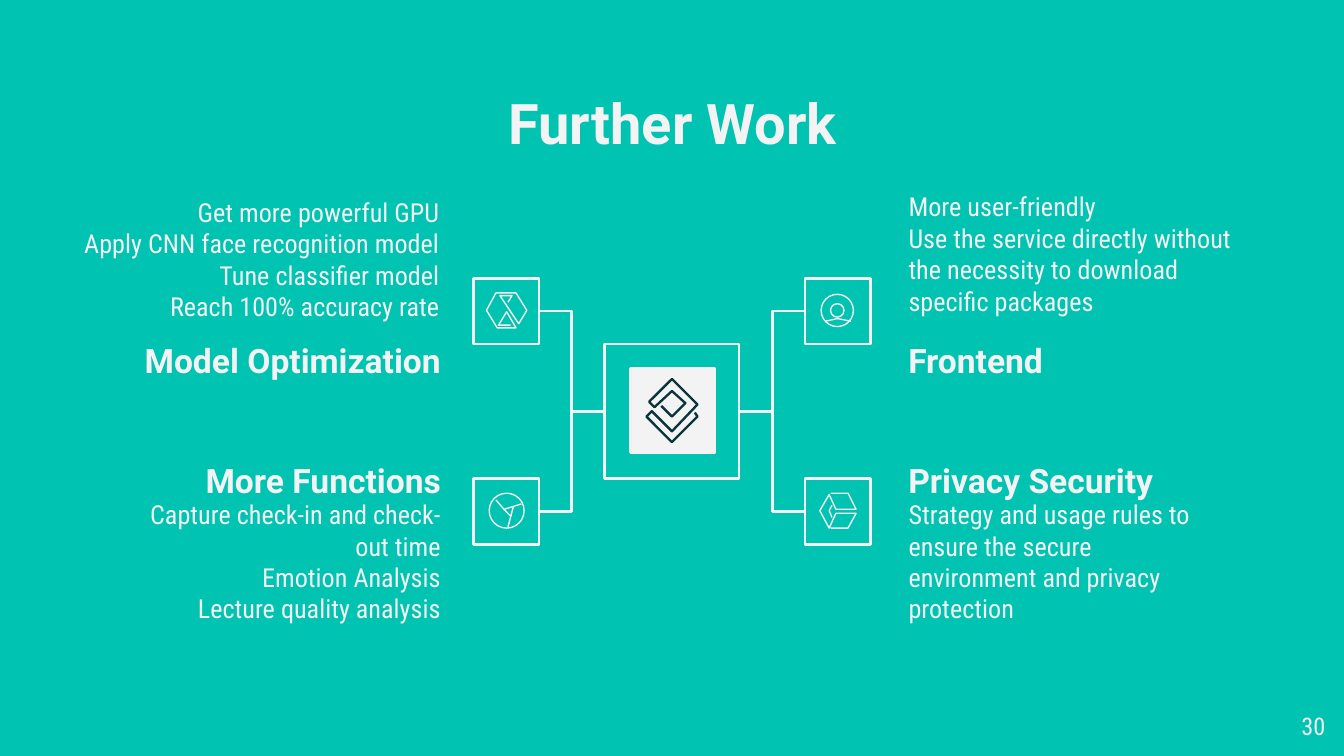
from pptx import Presentation
from pptx.dml.color import RGBColor
from pptx.enum.shapes import MSO_CONNECTOR, MSO_SHAPE
from pptx.enum.text import MSO_ANCHOR, MSO_AUTO_SIZE, PP_ALIGN
from pptx.oxml.ns import qn
from pptx.util import Inches, Pt
from lxml import etree

COLORS = {"back": "00C3B1", "light": "F3F3F3", "dark": "0C343D"}
HEAD, BODY = "Roboto", "Roboto Condensed"
LEFT, RIGHT, MID = PP_ALIGN.LEFT, PP_ALIGN.RIGHT, PP_ALIGN.CENTER


def write(box, at, lines, font, size, align, bold=False, anchor=MSO_ANCHOR.TOP):
    """Place a text shape and fill it, one paragraph per line."""
    box.left, box.top, box.width, box.height = [Inches(v) for v in at]
    frame = box.text_frame
    frame.word_wrap = True
    frame.auto_size = MSO_AUTO_SIZE.NONE
    frame.vertical_anchor = anchor
    frame.margin_left = frame.margin_right = Inches(0.1)
    frame.margin_top = frame.margin_bottom = Inches(0.1)
    for i, line in enumerate(lines):
        para = frame.paragraphs[0] if i == 0 else frame.add_paragraph()
        props = para._p.get_or_add_pPr()
        props.set("marL", "0")
        props.set("indent", "0")
        etree.SubElement(props, qn("a:buNone"))
        para.alignment = align
        para.space_before = Pt(0)
        run = para.add_run()
        run.text = line
        run.font.name = font
        run.font.size = Pt(size)
        run.font.bold = bold
        run.font.color.rgb = RGBColor.from_string(COLORS["light"])


def style(shape, width, color="light", fill=None):
    """Give a shape its outline and an optional fill."""
    shape.shadow.inherit = False
    shape.line.color.rgb = RGBColor.from_string(COLORS[color])
    shape.line.width = Pt(width)
    if fill:
        shape.fill.solid()
        shape.fill.fore_color.rgb = RGBColor.from_string(COLORS[fill])
    else:
        shape.fill.background()


# Slide in 16:9 and background
deck = Presentation()
deck.slide_width = Inches(10)
deck.slide_height = Inches(10) * 9 // 16
slide = deck.slides.add_slide(deck.slide_layouts[4])
slide.background.fill.solid()
slide.background.fill.fore_color.rgb = RGBColor.from_string(COLORS["back"])
shapes = slide.shapes

# Title
write(shapes.title, (0.79, 0.56, 8.43, 0.63), ["Further Work"], HEAD, 30, MID, True)

# Topics: heading, heading top, anchor, list place, lines, side
topics = [
    ("Model Optimization", 2.48, MSO_ANCHOR.MIDDLE, (0.22, 1.36, 3.15, 0.49),
     ["Get more powerful GPU", "Apply CNN face recognition model",
      "Tune classifier model", "Reach 100% accuracy rate"], RIGHT),
    ("Frontend", 2.48, MSO_ANCHOR.MIDDLE, (6.66, 1.32, 2.64, 0.49),
     ["More user-friendly", "Use the service directly without the necessity "
      "to download specific packages"], LEFT),
    ("More Functions", 3.32, MSO_ANCHOR.TOP, (0.94, 3.61, 2.44, 0.77),
     ["Capture check-in and check-out time", "Emotion Analysis",
      "Lecture quality analysis"], RIGHT),
    ("Privacy Security", 3.32, MSO_ANCHOR.TOP, (6.66, 3.61, 2.4, 0.77),
     ["Strategy and usage rules to ensure the secure environment "
      "and privacy protection"], LEFT),
]
for i, (name, top, anchor, at, lines, align) in enumerate(topics, 1):
    write(slide.placeholders[i], at, lines, BODY, 14, align)
    x, width = (0.94, 2.44) if align == RIGHT else (6.66, 2.4)
    box = shapes.add_textbox(0, 0, 0, 0)
    write(box, (x, top, width, 0.4), [name], HEAD, 18, align, True, anchor)

# Centre frame and tile
for x, y, size, fill in [(4.5, 2.56, 1, None), (4.69, 2.74, 0.63, "light")]:
    hub = shapes.add_shape(MSO_SHAPE.RECTANGLE, Inches(x), Inches(y),
                           Inches(size), Inches(size))
    style(hub, 1.5, fill=fill)

# Icon frames, each joined to the centre
SIDE = 0.49
for x, start, end in [(3.52, 4.01, 4.5), (5.99, 5.99, 5.5)]:
    for y in (2.07, 3.56):
        frame = shapes.add_shape(MSO_SHAPE.RECTANGLE, Inches(x), Inches(y),
                                 Inches(SIDE), Inches(SIDE))
        style(frame, 1.5)
        link = shapes.add_connector(MSO_CONNECTOR.ELBOW, Inches(start),
                                    Inches(y + SIDE / 2), Inches(end), Inches(3.06))
        link.line.color.rgb = RGBColor.from_string(COLORS["light"])
        link.line.width = Pt(1.5)
        etree.SubElement(link._element.spPr, qn("a:effectLst"))

# Round parts of the icons: centre and radius
for x, y, r in [(6.23, 2.31, 0.12), (6.23, 2.31, 0.05), (3.77, 3.8, 0.13)]:
    ring = shapes.add_shape(MSO_SHAPE.OVAL, Inches(x - r), Inches(y - r),
                            Inches(2 * r), Inches(2 * r))
    style(ring, 0.75)

# Line parts of the icons: colour, width, points
strokes = [
    # Nested diamonds
    ("dark", 1.25, [(4.92, 3.02), (5, 3.1), (5.1, 3), (5, 2.91), (4.87, 3.03),
                    (4.83, 2.99), (5, 2.82), (5.19, 3.01), (5, 3.21), (4.85, 3.06),
                    (4.81, 3.1), (5, 3.29), (5.19, 3.1), (5.17, 3.07)]),
    # Hexagon with hourglass
    ("light", 0.75, [(3.78, 2.25), (3.81, 2.2), (3.72, 2.2), (3.86, 2.41), (3.92, 2.31),
                     (3.84, 2.18), (3.69, 2.18), (3.62, 2.31), (3.7, 2.44),
                     (3.84, 2.44), (3.77, 2.32), (3.71, 2.42), (3.8, 2.42)]),
    # Wave under the ring
    ("light", 0.75, [(6.14, 2.39), (6.19, 2.38), (6.23, 2.37), (6.28, 2.38),
                     (6.33, 2.39)]),
    # Slices of the disc
    ("light", 0.75, [(3.69, 3.72), (3.75, 3.79), (3.8, 3.84)]),
    ("light", 0.75, [(3.75, 3.79), (3.88, 3.75)]),
    ("light", 0.75, [(3.82, 3.77), (3.78, 3.92)]),
    # Open cube
    ("light", 0.75, [(6.18, 3.67), (6.31, 3.67), (6.37, 3.79), (6.22, 3.79),
                     (6.17, 3.68), (6.1, 3.8), (6.17, 3.93), (6.22, 3.82),
                     (6.37, 3.82), (6.31, 3.93), (6.18, 3.93)]),
    ("light", 0.75, [(6.19, 3.76), (6.17, 3.8), (6.19, 3.85)]),
]
for color, width, points in strokes:
    points = [(Inches(x), Inches(y)) for x, y in points]
    pen = shapes.build_freeform(*points[0])
    pen.add_line_segments(points[1:], close=False)
    style(pen.convert_to_shape(), width, color)

# Page number
page = shapes.add_textbox(0, 0, 0, 0)
write(page, (9.36, 5.19, 0.6, 0.43), ["30"], BODY, 13, RIGHT)

deck.save("out.pptx")
